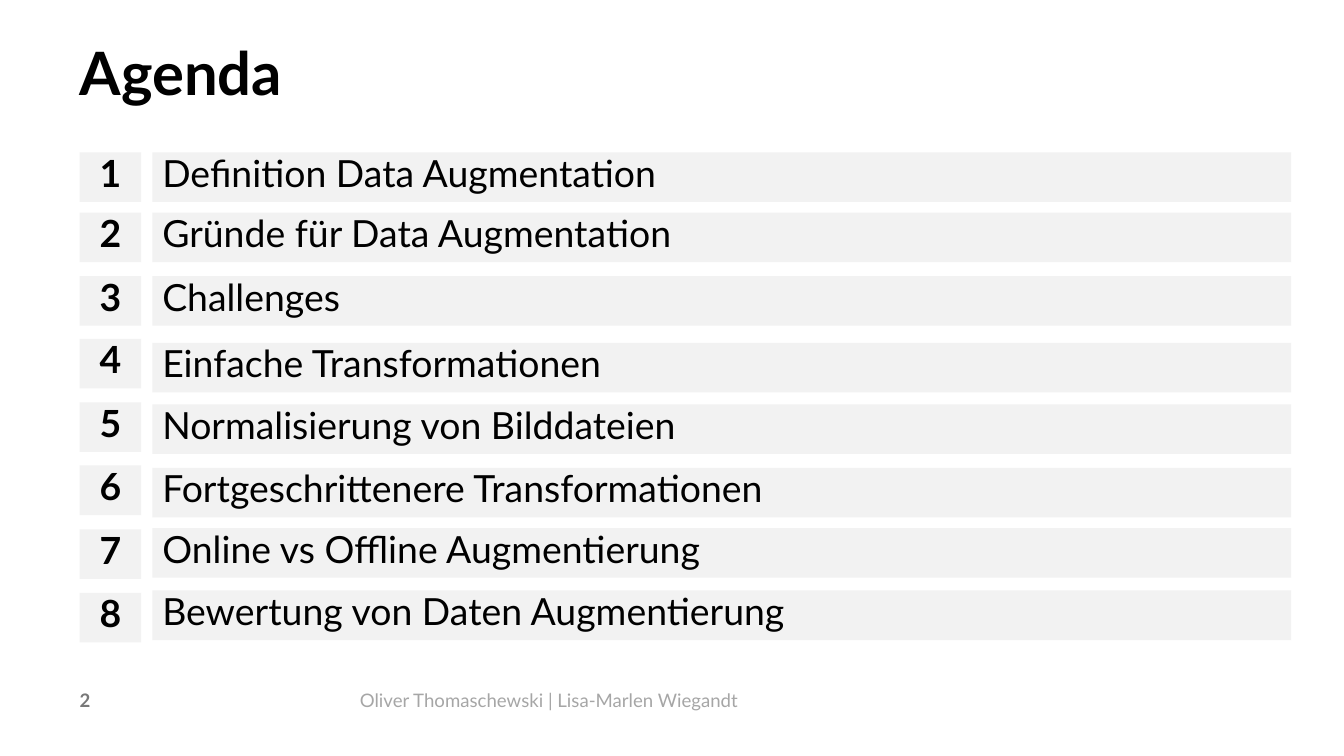
"""Build the agenda slide with eight numbered topics."""
from dataclasses import dataclass

from pptx import Presentation
from pptx.dml.color import RGBColor
from pptx.enum.shapes import MSO_SHAPE
from pptx.enum.text import MSO_ANCHOR, PP_ALIGN
from pptx.util import Cm, Pt

RECTANGLE = MSO_SHAPE.RECTANGLE
MIDDLE, TOP = MSO_ANCHOR.MIDDLE, MSO_ANCHOR.TOP
LEFT, CENTER = PP_ALIGN.LEFT, PP_ALIGN.CENTER

HEADING = "Agenda"
PAGE_NUMBER = "2"
AUTHORS = "Oliver Thomaschewski | Lisa-Marlen Wiegandt"

# topic, top of its number and top of its bar in cm
TOPICS = [
    ("Definition Data Augmentation", 3.84, 3.84),
    ("Gründe für Data Augmentation", 5.36, 5.36),
    ("Challenges", 6.96, 6.96),
    ("Einfache Transformationen", 8.54, 8.64),
    ("Normalisierung von Bilddateien", 10.14, 10.19),
    ("Fortgeschrittenere Transformationen", 11.73, 11.79),
    ("Online vs Offline Augmentierung", 13.34, 13.31),
    ("Bewertung von Daten Augmentierung", 14.94, 14.88),
]


@dataclass(frozen=True)
class Theme:
    """Font, colours and type sizes of the slide."""
    font: str = "Lato"
    ink: str = "000000"
    bar: str = "F2F2F2"
    page: str = "787878"
    authors: str = "A6A6A6"
    heading_size: float = 42.7
    topic_size: float = 26.7
    footer_size: float = 13.3


THEME = Theme()
MARGIN, BAR_LEFT, AUTHORS_LEFT = 2.01, 3.84, 9.07
NUMBER_WIDTH, BAR_WIDTH, ROW_HEIGHT = 1.55, 28.7, 1.25
FOOTER_TOP, FOOTER_HEIGHT = 17.35, 0.66


def add_text(slide, text, left, top, width, height, *, size, color=THEME.ink,
             bold=False, align=LEFT, fill=None, leading=None, after=0):
    """Add text at a place in cm, on a filled bar if a fill is given."""
    place = Cm(left), Cm(top), Cm(width), Cm(height)
    if fill:
        holder = slide.shapes.add_shape(RECTANGLE, *place)
        holder.shadow.inherit = False
        holder.fill.solid()
        holder.fill.fore_color.rgb = RGBColor.from_string(fill)
        holder.line.fill.background()
    else:
        holder = slide.shapes.add_textbox(*place)
    frame = holder.text_frame
    frame.word_wrap = True
    frame.vertical_anchor = MIDDLE if fill else TOP
    if not fill:
        frame.margin_left = frame.margin_right = 0
        frame.margin_top = frame.margin_bottom = 0
    paragraph = frame.paragraphs[0]
    paragraph.alignment = align
    paragraph.space_after = Pt(after)
    if leading:
        paragraph.line_spacing = Pt(leading)
    run = paragraph.add_run()
    run.text = text
    run.font.name = THEME.font
    run.font.size = Pt(size)
    run.font.bold = bold
    run.font.color.rgb = RGBColor.from_string(color)


def main():
    """Lay out the heading, the topics and the footer."""
    deck = Presentation()
    deck.slide_width, deck.slide_height = Cm(33.87), Cm(19.05)
    slide = deck.slides.add_slide(deck.slide_layouts[6])

    add_text(slide, HEADING, MARGIN, 1.12, 27.86, 1.65,
             size=THEME.heading_size, bold=True, leading=45.3)

    row_format = {"size": THEME.topic_size, "fill": THEME.bar,
                  "leading": 25, "after": 5.5}
    for number, (topic, number_top, bar_top) in enumerate(TOPICS, start=1):
        add_text(slide, str(number), MARGIN, number_top, NUMBER_WIDTH, ROW_HEIGHT,
                 bold=True, align=CENTER, **row_format)
        add_text(slide, topic, BAR_LEFT, bar_top, BAR_WIDTH, ROW_HEIGHT, **row_format)

    add_text(slide, PAGE_NUMBER, MARGIN, FOOTER_TOP, 6.4, FOOTER_HEIGHT,
             size=THEME.footer_size, color=THEME.page, bold=True)
    add_text(slide, AUTHORS, AUTHORS_LEFT, FOOTER_TOP, 20.32, FOOTER_HEIGHT,
             size=THEME.footer_size, color=THEME.authors)
    deck.save("out.pptx")


if __name__ == "__main__":
    main()
